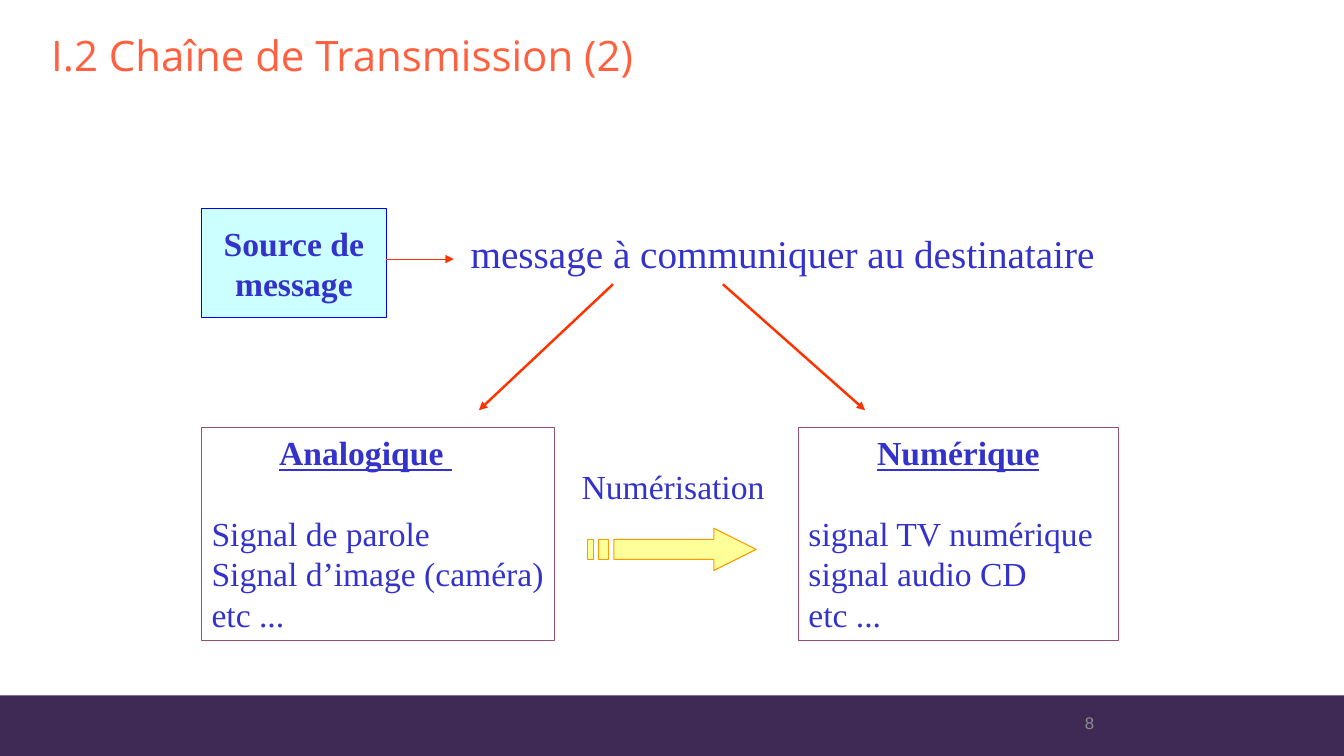
from dataclasses import dataclass

from lxml.etree import SubElement
from pptx import Presentation
from pptx.dml.color import RGBColor
from pptx.enum.shapes import MSO_CONNECTOR, MSO_SHAPE
from pptx.enum.text import MSO_ANCHOR, PP_ALIGN
from pptx.oxml.ns import qn
from pptx.util import Inches, Pt

SERIF = "Times New Roman"
INK, RED, BORDER = "3333CC", "FF3300", "954F72"


@dataclass
class Line:
    """One paragraph and its format."""
    text: str
    size: float = 24
    color: str = INK
    font: str = SERIF
    bold: bool = False
    underline: bool = False
    align: PP_ALIGN = PP_ALIGN.LEFT
    indent: float = 0
    after: float = 0
    spacing: float = 1


@dataclass
class Block:
    """A text block, with a fill and border when it is a box."""
    left: float
    top: float
    width: float
    height: float
    lines: list[Line]
    fill: str | None = None
    border: str | None = None
    anchor: MSO_ANCHOR = MSO_ANCHOR.TOP
    wrap: bool = False


@dataclass
class Arrow:
    """A straight arrow between two points."""
    start: tuple[float, float]
    end: tuple[float, float]
    weight: float


def rgb(color: str) -> RGBColor:
    """Turn a hex string into a colour."""
    return RGBColor.from_string(color)


def paint(shape, fill: str, border: str | None = None) -> None:
    """Set fill and border and remove the shadow."""
    shape.shadow.inherit = False
    shape.fill.solid()
    shape.fill.fore_color.rgb = rgb(fill)
    if border:
        shape.line.color.rgb = rgb(border)
        shape.line.width = Pt(0.75)
    else:
        shape.line.fill.background()


def add_rectangle(slide, left: float, top: float, width: float, height: float,
                  fill: str, border: str | None = None):
    """Draw a filled rectangle."""
    shape = slide.shapes.add_shape(
        MSO_SHAPE.RECTANGLE, Inches(left), Inches(top), Inches(width), Inches(height))
    paint(shape, fill, border)
    return shape


def write_line(paragraph, line: Line) -> None:
    """Write and format one paragraph."""
    paragraph.text = line.text
    paragraph.alignment = line.align
    paragraph.space_after = Pt(line.after)
    paragraph.line_spacing = line.spacing
    if line.indent:
        paragraph._p.get_or_add_pPr().set("marL", str(Inches(line.indent)))
    for run in paragraph.runs:
        run.font.name = line.font
        run.font.size = Pt(line.size)
        run.font.color.rgb = rgb(line.color)
        run.font.bold = line.bold
        run.font.underline = line.underline


def add_block(slide, block: Block) -> None:
    """Draw a text block."""
    area = (block.left, block.top, block.width, block.height)
    if block.fill:
        shape = add_rectangle(slide, *area, block.fill, block.border)
    else:
        shape = slide.shapes.add_textbox(*map(Inches, area))
    frame = shape.text_frame
    frame.word_wrap = block.wrap
    frame.vertical_anchor = block.anchor
    for index, line in enumerate(block.lines):
        write_line(frame.add_paragraph() if index else frame.paragraphs[0], line)


def add_arrow(slide, arrow: Arrow) -> None:
    """Draw a red arrow with a triangular head."""
    connector = slide.shapes.add_connector(
        MSO_CONNECTOR.STRAIGHT, *map(Inches, arrow.start + arrow.end))
    connector.line.color.rgb = rgb(RED)
    connector.line.width = Pt(arrow.weight)
    SubElement(connector.line._get_or_add_ln(), qn("a:tailEnd"), type="triangle")
    SubElement(connector._element.spPr, qn("a:effectLst"))


def add_striped_arrow(slide) -> None:
    """Draw the block arrow and its two trailing stripes."""
    top, upper, middle, lower, bottom = 5.24, 5.35, 5.45, 5.55, 5.66
    head = [(7.08, top), (7.08, upper), (6.09, upper), (6.09, lower),
            (7.08, lower), (7.08, bottom), (7.5, middle)]
    stripes = [[(left, upper), (left, lower), (right, lower), (right, upper)]
               for left, right in ((5.94, 6.04), (5.83, 5.89))]
    builder = slide.shapes.build_freeform(Inches(head[0][0]), Inches(head[0][1]))
    for number, outline in enumerate([head, *stripes]):
        points = [(Inches(x), Inches(y)) for x, y in outline]
        if number:
            builder.move_to(*points[0])
        builder.add_line_segments(points[1:], close=True)
    paint(builder.convert_to_shape(), "FFFF99", "FF9900")


def signal_lines(heading: Line, examples: list[str]) -> list[Line]:
    """List a signal type and its examples, one line apart."""
    heading.bold = heading.underline = True
    heading.after = 28.8
    return [heading, *map(Line, examples)]


BLOCKS = [
    Block(2, 2.07, 1.83, 1.08,
          [Line(text, bold=True, align=PP_ALIGN.CENTER) for text in ("Source de", "message")],
          "CCFFFF", "0000FF", MSO_ANCHOR.MIDDLE),
    Block(4.57, 2.23, 6.5, 0.57, [Line("message à communiquer au destinataire", 28)],
          wrap=True),
    Block(2, 4.24, 3.5, 2.11,
          signal_lines(Line("Analogique ", indent=0.67),
                       ["Signal de parole", "Signal d’image (caméra)", "etc ..."]),
          "FFFFFF", BORDER),
    Block(7.92, 4.24, 3.17, 2.11,
          signal_lines(Line("Numérique", align=PP_ALIGN.CENTER),
                       ["signal TV numérique", "signal audio CD", "etc ..."]),
          "FFFFFF", BORDER, wrap=True),
    Block(5.67, 4.57, 2.2, 0.5, [Line("Numérisation")], wrap=True),
    Block(0.41, 0.3, 11.88, 0.66,
          [Line("I.2 Chaîne de Transmission (2)", 30, "FF6140", "Open Sans", spacing=0.9)],
          wrap=True),
    Block(7.95, 6.97, 3, 0.4, [Line("8", 12, "8C8C8C", "Arial", align=PP_ALIGN.RIGHT)],
          anchor=MSO_ANCHOR.MIDDLE, wrap=True),
]
ARROWS = [
    Arrow((3.83, 2.57), (4.5, 2.57), 0.75),
    Arrow((6.08, 2.82), (4.75, 4.07), 1.75),
    Arrow((7.17, 2.82), (8.58, 4.07), 1.75),
]


def main() -> None:
    """Build and save the slide."""
    presentation = Presentation()
    presentation.slide_width, presentation.slide_height = Inches(13.33), Inches(7.5)
    slide = presentation.slides.add_slide(presentation.slide_layouts[6])
    add_rectangle(slide, 0, 6.9, 13.33, 0.6, "3F2A56")
    for block in BLOCKS:
        add_block(slide, block)
    for arrow in ARROWS:
        add_arrow(slide, arrow)
    add_striped_arrow(slide)
    presentation.save("out.pptx")


main()
